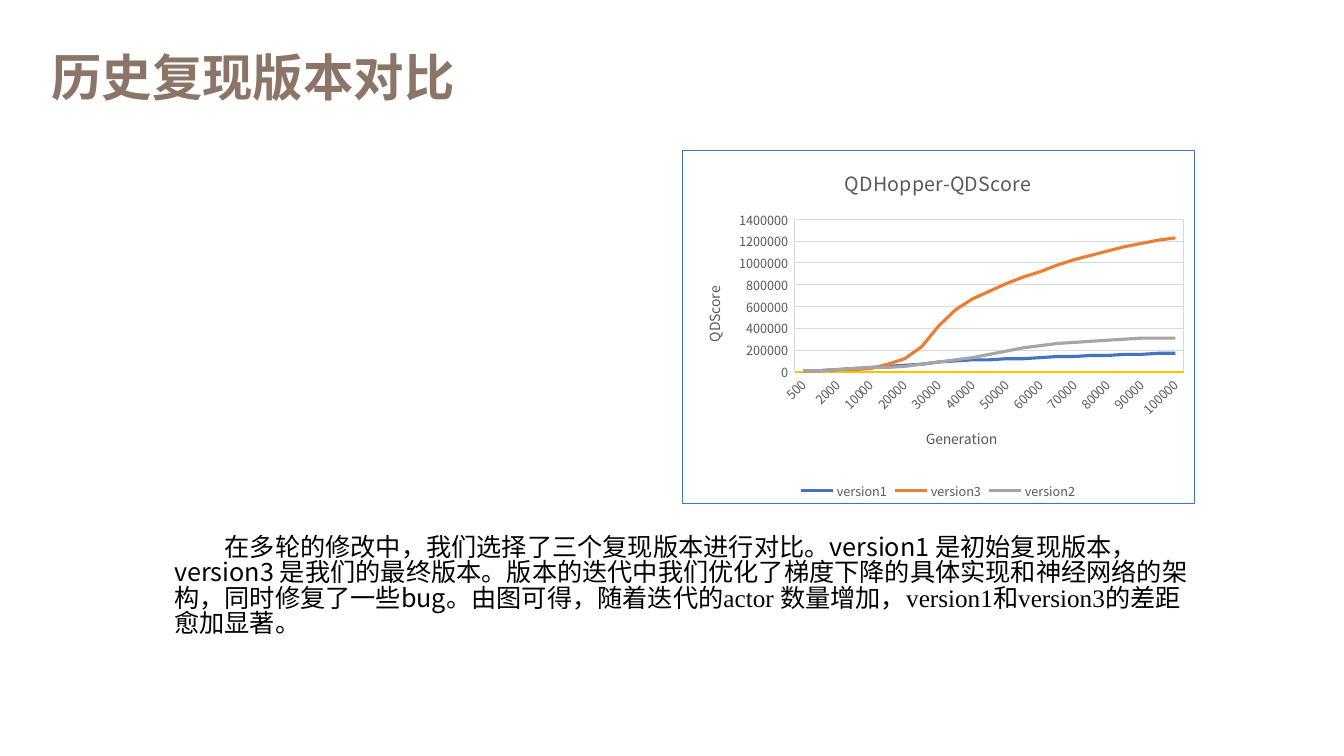
from lxml import etree
from pptx import Presentation
from pptx.chart.data import CategoryChartData
from pptx.dml.color import RGBColor
from pptx.enum.chart import XL_CHART_TYPE, XL_LEGEND_POSITION, XL_TICK_MARK
from pptx.enum.text import MSO_ANCHOR
from pptx.oxml import parse_xml
from pptx.oxml.ns import nsdecls, qn
from pptx.util import Inches, Pt

LINE_CHART = XL_CHART_TYPE.LINE
LEGEND_BOTTOM = XL_LEGEND_POSITION.BOTTOM
NO_TICK = XL_TICK_MARK.NONE
TOP = MSO_ANCHOR.TOP

BROWN = RGBColor(0x8B, 0x75, 0x67)
BLACK = RGBColor(0, 0, 0)
GRAY_TEXT = RGBColor(0x59, 0x59, 0x59)
GRID = RGBColor(0xD9, 0xD9, 0xD9)
YELLOW = RGBColor(0xFF, 0xC0, 0x00)
BLUE = RGBColor(0x44, 0x72, 0xC4)
ORANGE = RGBColor(0xED, 0x7D, 0x31)
GRAY = RGBColor(0xA5, 0xA5, 0xA5)

SANS = "Noto Sans CJK SC"
SERIF = "Times New Roman"
LINE_SPACING = 0.84

GENERATIONS = [500, 1000, 2000] + list(range(5000, 100001, 5000))
# Scores in units of 10000
SCORES = {
    "version1": (BLUE, [1, 1, 2, 3, 4, 5, 6, 7, 9, 10, 11, 11, 12, 12, 13, 14,
                        14, 15, 15, 16, 16, 17, 17]),
    "version3": (ORANGE, [1, 1, 2, 2, 3, 7, 12, 23, 42, 57, 67, 74, 81, 87, 92,
                          98, 103, 107, 111, 115, 118, 121, 123]),
    "version2": (GRAY, [1, 1, 2, 3, 4, 4, 5, 7, 9, 11, 13, 16, 19, 22, 24, 26,
                        27, 28, 29, 30, 31, 31, 31]),
}

TITLE = "历史复现版本对比"
VERSIONS = ("在多轮的修改中，我们选择了三个复现版本进行对比。version1 是初始复现版本，"
            "version3 是我们的最终版本。版本的迭代中我们优化了梯度下降的具体实现和"
            "神经网络的架构，同时修复了一些bug。")
FINDING = "由图可得，随着迭代的actor 数量增加，version1和version3的差距愈加显著。"


def format_font(font, size, color, name=SANS, bold=False):
    font.size = Pt(size)
    font.name = name
    font.bold = bold
    font.color.rgb = color


def add_text(slide, left, top, width, height, runs, size, color,
             bold=False, indent=0):
    """Add a one-paragraph text box; runs holds (text, latin font) pairs."""
    box = slide.shapes.add_textbox(Inches(left), Inches(top),
                                   Inches(width), Inches(height))
    frame = box.text_frame
    frame.word_wrap = True
    frame.vertical_anchor = TOP
    paragraph = frame.paragraphs[0]
    paragraph.line_spacing = LINE_SPACING
    if indent:
        paragraph._p.get_or_add_pPr().set("indent", str(Inches(indent)))
    for text, name in runs:
        run = paragraph.add_run()
        run.text = text
        format_font(run.font, size, color, name, bold)
        latin = run._r.rPr.find(qn("a:latin"))
        east_asian = etree.Element(qn("a:ea"), typeface=SANS)
        latin.addnext(east_asian)


def set_title(owner, text, size):
    """Title a chart or an axis."""
    frame = (owner.chart_title if hasattr(owner, "chart_title")
             else owner.axis_title).text_frame
    frame.text = text
    format_font(frame.paragraphs[0].runs[0].font, size, GRAY_TEXT)


def style_axis(axis, title):
    set_title(axis, title, 10)
    axis.major_tick_mark = NO_TICK
    axis.minor_tick_mark = NO_TICK
    format_font(axis.tick_labels.font, 9, GRAY_TEXT)


def style_line(line, color, width):
    line.color.rgb = color
    line.width = Pt(width)


def frame_chart(chart):
    """Give the chart its fill and border, and the plot its place and outline."""
    def outline(fill, color):
        return parse_xml(
            f'<c:spPr {nsdecls("c", "a")}>{fill}<a:ln w="9525"><a:solidFill>'
            f'<a:srgbClr val="{color}"/></a:solidFill></a:ln></c:spPr>')

    white = '<a:solidFill><a:srgbClr val="FFFFFF"/></a:solidFill>'
    space = chart._chartSpace
    space.find(qn("c:txPr")).addprevious(outline(white, BLUE))
    plot_area = space.chart.plotArea
    plot_area.append(outline("<a:noFill/>", GRID))
    for old in plot_area.findall(qn("c:layout")):
        plot_area.remove(old)
    place = "".join(f'<c:{key} val="{value}"/>' for key, value in (
        ("layoutTarget", "inner"), ("xMode", "edge"), ("yMode", "edge"),
        ("x", 0.22), ("y", 0.195), ("w", 0.76), ("h", 0.432)))
    plot_area.insert(0, parse_xml(
        f'<c:layout {nsdecls("c")}><c:manualLayout>{place}'
        '</c:manualLayout></c:layout>'))


def add_score_chart(slide):
    data = CategoryChartData(number_format="0_ ")
    data.categories = [str(generation) for generation in GENERATIONS]
    for name, (_, scores) in SCORES.items():
        data.add_series(name, [score * 10000 for score in scores])
    chart = slide.shapes.add_chart(LINE_CHART, Inches(6.76), Inches(1.49),
                                   Inches(5.09), Inches(3.51), data).chart
    format_font(chart.font, 10, BLACK)
    set_title(chart, "QDHopper-QDScore", 14)
    chart.has_legend = True
    chart.legend.position = LEGEND_BOTTOM
    chart.legend.include_in_layout = False
    format_font(chart.legend.font, 9, GRAY_TEXT)

    chart.plots[0].vary_by_categories = False
    for series in chart.plots[0].series:
        series.smooth = False
        style_line(series.format.line, SCORES[series.name][0], 2.25)

    generation_axis, score_axis = chart.category_axis, chart.value_axis
    style_axis(generation_axis, "Generation")
    style_line(generation_axis.format.line, YELLOW, 1)
    labels = generation_axis._element.find(qn("c:txPr"))
    labels.find(qn("a:bodyPr")).set("rot", "-2700000")
    skip = etree.Element(qn("c:tickLblSkip"), val="2")
    generation_axis._element.find(qn("c:noMultiLvlLbl")).addprevious(skip)

    style_axis(score_axis, "QDScore")
    score_axis.format.line.fill.background()
    score_axis.minimum_scale = 0
    score_axis.maximum_scale = 1400000
    score_axis.major_unit = 200000
    score_axis.tick_labels.number_format = "0_ "
    score_axis.tick_labels.number_format_is_linked = False
    style_line(score_axis.major_gridlines.format.line, GRID, 0.75)
    frame_chart(chart)


def main():
    presentation = Presentation()
    presentation.slide_width = Inches(13.33)
    presentation.slide_height = Inches(7.5)
    slide = presentation.slides.add_slide(presentation.slide_layouts[6])
    add_text(slide, 0.41, 0.51, 10.74, 0.71, [(TITLE, SANS)], 36, BROWN,
             bold=True)
    add_score_chart(slide)
    add_text(slide, 1.63, 5.27, 10.28, 1.31,
             [(VERSIONS, SANS), (FINDING, SERIF)], 18, BLACK, indent=0.5)
    presentation.save("out.pptx")


if __name__ == "__main__":
    main()
